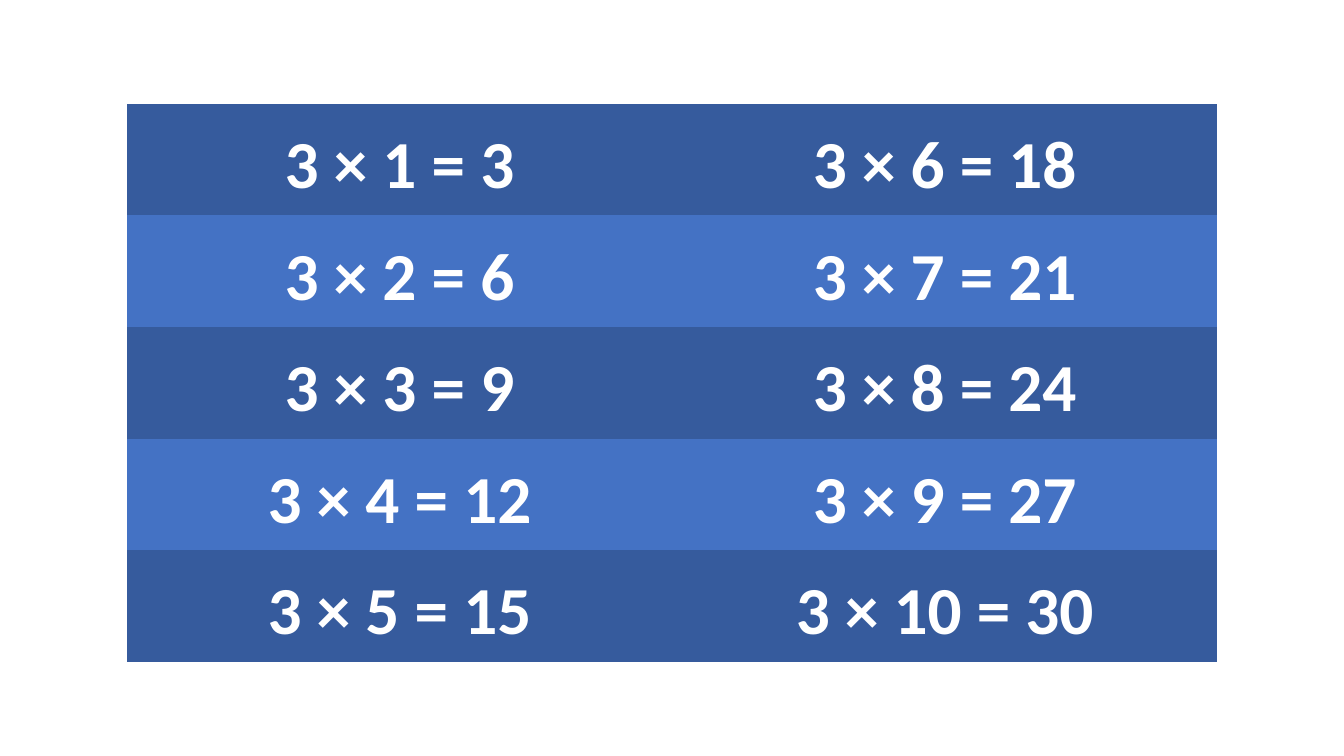
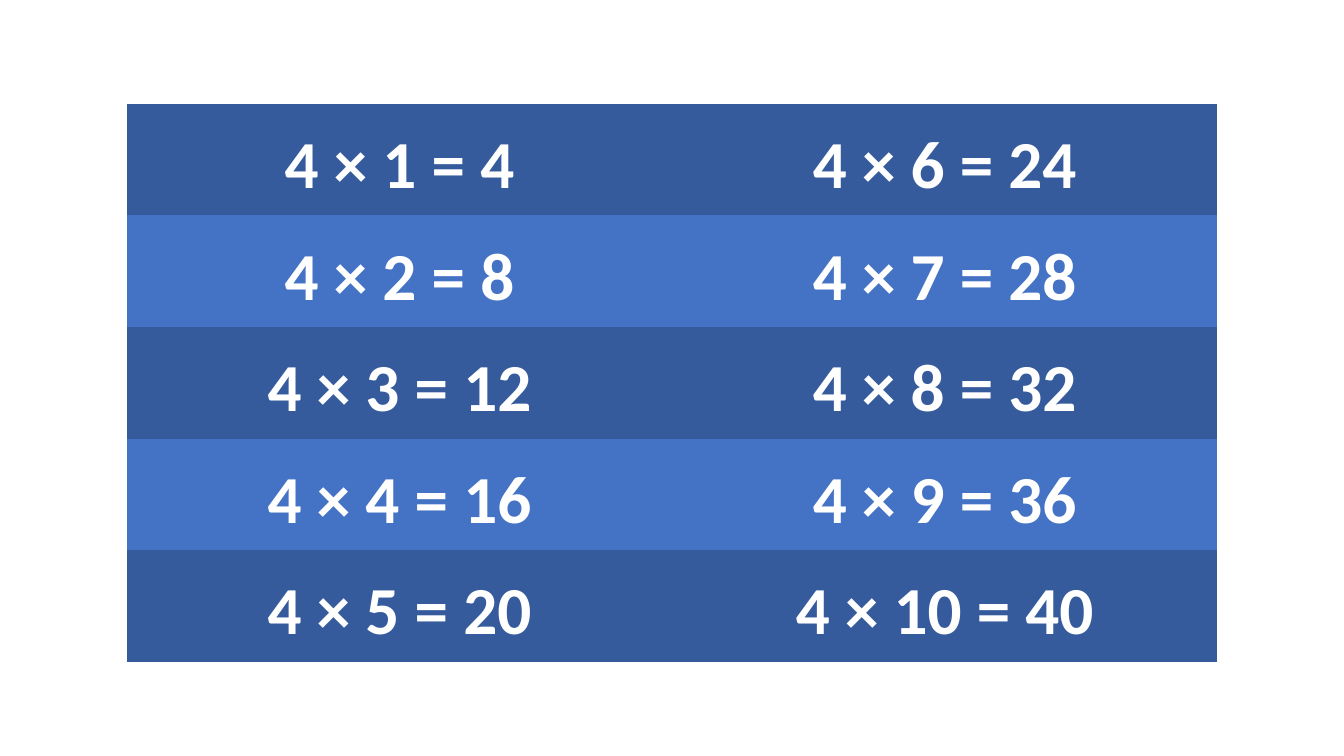
from lxml import etree
from pptx import Presentation
from pptx.dml.color import RGBColor
from pptx.enum.text import MSO_ANCHOR, PP_ALIGN
from pptx.oxml.ns import qn
from pptx.util import Cm, Pt

CENTER = PP_ALIGN.CENTER
MIDDLE = MSO_ANCHOR.MIDDLE

# Shared look
WHITE = RGBColor(0xFF, 0xFF, 0xFF)
DARK_BLUE = RGBColor(0x36, 0x5B, 0x9D)
MID_BLUE = RGBColor(0x44, 0x72, 0xC4)
BANDS = (DARK_BLUE, MID_BLUE)
FONT_FORMAT = {"name": "Calibri", "size": Pt(48), "bold": True}
CELL_FORMAT = {
    "vertical_anchor": MIDDLE,
    "margin_left": Cm(0.18),
    "margin_right": Cm(0.18),
    "margin_top": 0,
    "margin_bottom": 0,
}
BORDER_TAGS = ("a:lnL", "a:lnR", "a:lnT", "a:lnB")

# Shared grid
SLIDE_WIDTH, SLIDE_HEIGHT = Cm(33.87), Cm(19.05)
LEFT, TOP = Cm(3.2), Cm(2.62)
COLUMN_WIDTH, ROW_HEIGHT = Cm(13.74), Cm(2.81)
ROWS, COLUMNS = 5, 2

BLANK_LAYOUT = 6
MULTIPLICANDS = (3, 4)


def apply_format(target, values):
    for attribute, value in values.items():
        setattr(target, attribute, value)


def remove_borders(cell):
    properties = cell._tc.get_or_add_tcPr()
    for tag in BORDER_TAGS:
        border = etree.SubElement(properties, qn(tag), w="0")
        etree.SubElement(border, qn("a:noFill"))


def fill_cell(cell, equation, band):
    remove_borders(cell)
    cell.fill.solid()
    cell.fill.fore_color.rgb = band
    apply_format(cell, CELL_FORMAT)

    paragraph = cell.text_frame.paragraphs[0]
    paragraph.alignment = CENTER
    paragraph.line_spacing = 1.15
    run = paragraph.add_run()
    run.text = equation
    apply_format(run.font, FONT_FORMAT)
    run.font.color.rgb = WHITE


def add_times_table(slide, multiplicand):
    times_table = slide.shapes.add_table(
        ROWS, COLUMNS, LEFT, TOP, COLUMNS * COLUMN_WIDTH, ROWS * ROW_HEIGHT
    ).table
    # Multipliers run down the first column, then down the second
    for index in range(ROWS * COLUMNS):
        column, row = divmod(index, ROWS)
        multiplier = index + 1
        equation = f"{multiplicand} × {multiplier} = {multiplicand * multiplier}"
        fill_cell(times_table.cell(row, column), equation, BANDS[row % len(BANDS)])


def main():
    presentation = Presentation()
    presentation.slide_width = SLIDE_WIDTH
    presentation.slide_height = SLIDE_HEIGHT
    # One slide per times table
    for multiplicand in MULTIPLICANDS:
        slide = presentation.slides.add_slide(presentation.slide_layouts[BLANK_LAYOUT])
        add_times_table(slide, multiplicand)
    presentation.save("out.pptx")


if __name__ == "__main__":
    main()
